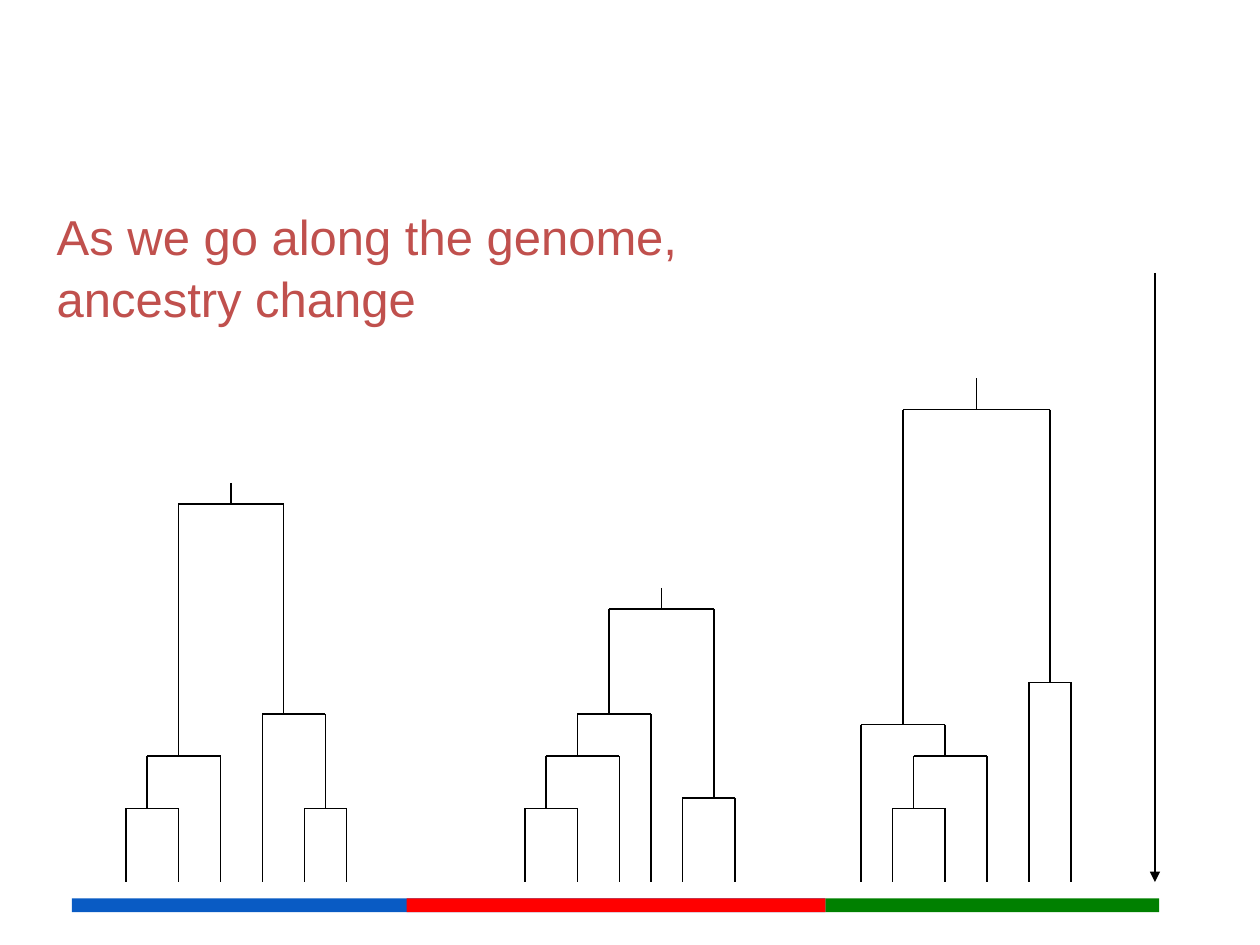
from dataclasses import dataclass
from typing import Union

from lxml.etree import SubElement
from pptx import Presentation
from pptx.dml.color import RGBColor
from pptx.enum.shapes import MSO_CONNECTOR as Connector, MSO_SHAPE as Shape
from pptx.enum.text import MSO_ANCHOR as Anchor, MSO_AUTO_SIZE as AutoSize, PP_ALIGN as Align
from pptx.oxml.ns import qn
from pptx.util import Cm, Pt


@dataclass(frozen=True)
class Theme:
    font: str = "Arial"
    title_size: int = 28
    line_width: float = 0.75
    title: str = "C0504D"
    line: str = "000000"
    blue: str = "095BC4"
    red: str = "FF0000"
    green: str = "008000"


@dataclass(frozen=True)
class Join:
    """Two lineages meeting at height y; the stem above leaves at x."""
    x: int
    y: int
    left: Union["Join", int]
    right: Union["Join", int]


# Trees are laid out on a grid of twelfths of an inch.
GRID = 2.54 / 12
PRESENT = 84

# Each tree with the height at which its root stem ends.
TREES = [
    (46, Join(22, 48,
              Join(17, 72, Join(14, 77, 12, 17), 21),
              Join(27, 68, 25, Join(31, 77, 29, 33)))),
    (56, Join(63, 58,
              Join(58, 68, Join(55, 72, Join(52, 77, 50, 55), 59), 62),
              Join(68, 76, 65, 70))),
    (36, Join(93, 39,
              Join(86, 69, 82, Join(90, 72, Join(87, 77, 85, 90), 94)),
              Join(100, 65, 98, 102))),
]


class SlideBuilder:
    def __init__(self, slide, theme):
        self.slide = slide
        self.theme = theme

    def title(self, text, left, top, width, height):
        shape = self.slide.shapes.title
        shape.left, shape.top = Cm(left), Cm(top)
        shape.width, shape.height = Cm(width), Cm(height)
        frame = shape.text_frame
        frame.text = text
        frame.word_wrap = True
        frame.auto_size = AutoSize.NONE
        frame.vertical_anchor = Anchor.MIDDLE
        paragraph = frame.paragraphs[0]
        paragraph.alignment = Align.LEFT
        paragraph.line_spacing = 1.05
        paragraph.font.name = self.theme.font
        paragraph.font.size = Pt(self.theme.title_size)
        paragraph.font.color.rgb = RGBColor.from_string(self.theme.title)

    def line(self, x1, y1, x2, y2, arrow=False):
        """Draw a line between two grid points."""
        ends = [Cm(value * GRID) for value in (x1, y1, x2, y2)]
        connector = self.slide.shapes.add_connector(Connector.STRAIGHT, *ends)
        connector.line.width = Pt(self.theme.line_width)
        connector.line.color.rgb = RGBColor.from_string(self.theme.line)
        if arrow:
            SubElement(connector.line._get_or_add_ln(), qn("a:tailEnd"), type="triangle")
        SubElement(connector._element.spPr, qn("a:effectLst"))

    def tree(self, node, top):
        """Draw the stem from top down to the node, then all below it."""
        if isinstance(node, int):
            self.line(node, top, node, PRESENT)
            return
        self.line(node.x, top, node.x, node.y)
        ends = [child if isinstance(child, int) else child.x
                for child in (node.left, node.right)]
        self.line(ends[0], node.y, ends[1], node.y)
        self.tree(node.left, node.y)
        self.tree(node.right, node.y)

    def bar(self, left, top, width, height, color):
        shape = self.slide.shapes.add_shape(
            Shape.RECTANGLE, Cm(left), Cm(top), Cm(width), Cm(height))
        shape.shadow.inherit = False
        shape.fill.solid()
        shape.fill.fore_color.rgb = RGBColor.from_string(color)
        shape.line.fill.background()


def main():
    presentation = Presentation()
    presentation.slide_width, presentation.slide_height = Cm(25.4), Cm(19.05)
    theme = Theme()
    title_only = presentation.slide_layouts[5]
    builder = SlideBuilder(presentation.slides.add_slide(title_only), theme)

    builder.title("As we go along the genome,\vancestry change", 0.89, 3.76, 21.69, 3.18)
    for top, root in TREES:
        builder.tree(root, top)
    builder.line(110, 26, 110, PRESENT, arrow=True)

    # The red segment lies over the right part of the blue one.
    for left, right, color in [(1.45, 16.64, theme.blue),
                               (16.64, 23.37, theme.green),
                               (8.2, 16.64, theme.red)]:
        builder.bar(left, 18.11, right - left, 0.28, color)

    presentation.save("out.pptx")


if __name__ == "__main__":
    main()
